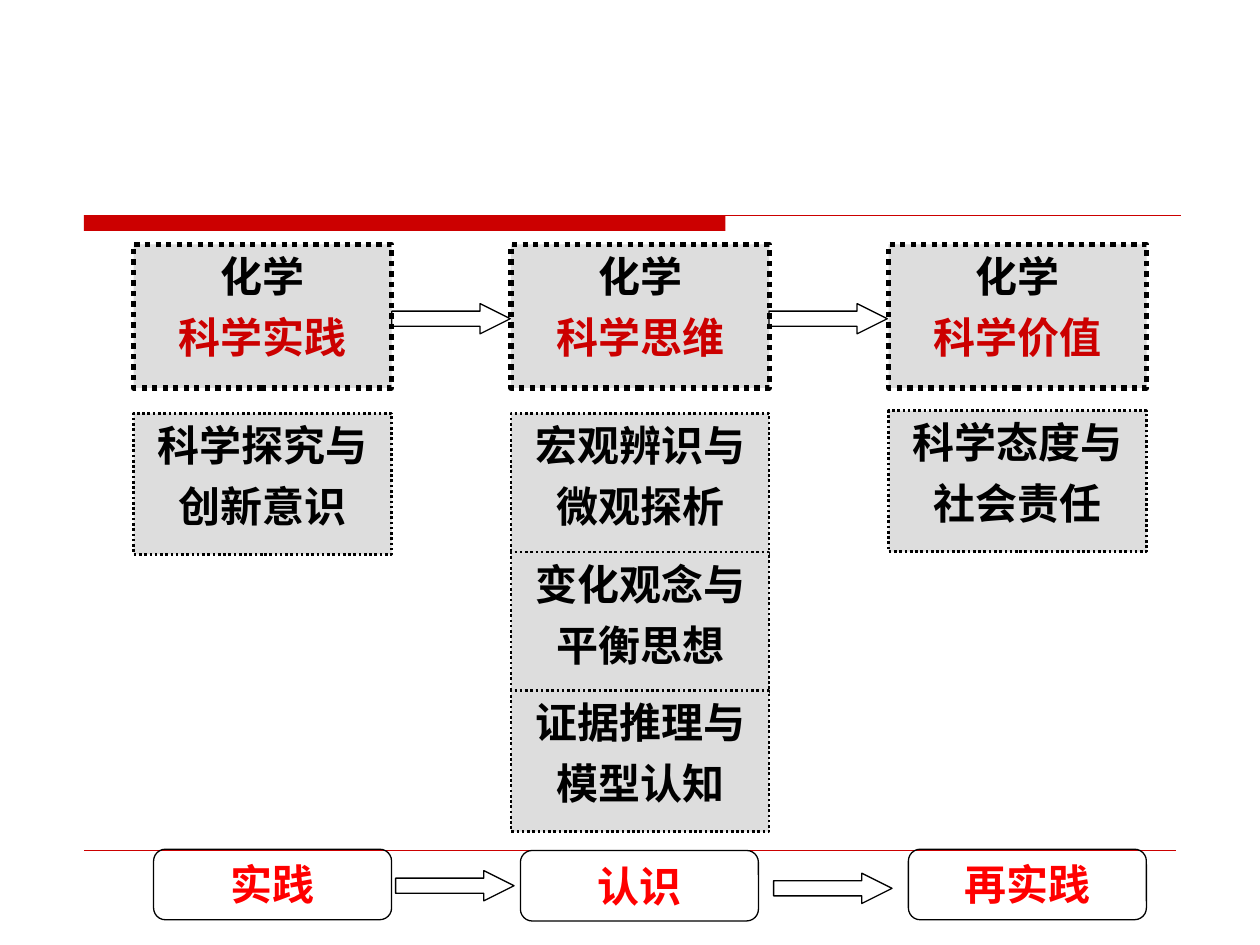
from pptx import Presentation
from pptx.dml.color import RGBColor
from pptx.enum.dml import MSO_LINE_DASH_STYLE as Dash
from pptx.enum.shapes import MSO_CONNECTOR as Connector, MSO_SHAPE as Shape
from pptx.enum.text import MSO_ANCHOR as Anchor, PP_ALIGN as Align
from pptx.util import Pt
from lxml.etree import SubElement

BLACK, RED, BRIGHT_RED, GREY = "000000", "CC0000", "FF0000", "DDDDDD"
DRAWING = "{http://schemas.openxmlformats.org/drawingml/2006/main}"

COLUMN_LEFT, COLUMN_STEP, BOX_WIDTH = 76.3, 215.75, 147.5
CONTENT_HEIGHT, CONTENT_STEP = 80.6, 79.2

# Each column: heading, top of its content boxes, content boxes
COLUMNS = [
    ("科学实践", 236.2, [("科学探究与", "创新意识")]),
    ("科学思维", 236.2, [("宏观辨识与", "微观探析"),
                     ("变化观念与", "平衡思想"),
                     ("证据推理与", "模型认知")]),
    ("科学价值", 234.7, [("科学态度与", "社会责任")]),
]
STAGES = [("实践", 87.8, 485.3), ("认识", 297.4, 486), ("再实践", 519.1, 485.3)]
ARROWS = [(223.9, 173.5), (439.4, 173.5), (226.1, 497.5), (442.1, 499)]


def color(value):
    return RGBColor.from_string(value)


def add_outline(page, kind, place, fill=None, weight=0.75, dash=None):
    shape = page.shapes.add_shape(kind, *map(Pt, place))
    shape.shadow.inherit = False
    if fill:
        shape.fill.solid()
        shape.fill.fore_color.rgb = color(fill)
    else:
        shape.fill.background()
    shape.line.color.rgb = color(BLACK)
    shape.line.width = Pt(weight)
    if dash:
        shape.line.dash_style = dash
    return shape


def write_lines(shape, lines, font="DejaVu Sans"):
    """Write (text, colour) pairs, one paragraph each."""
    frame = shape.text_frame
    layout = {"word_wrap": True, "vertical_anchor": Anchor.TOP,
              "margin_left": Pt(4.5), "margin_right": Pt(4.5),
              "margin_top": Pt(3.6), "margin_bottom": Pt(3.6)}
    for name, value in layout.items():
        setattr(frame, name, value)
    for index, (text, text_color) in enumerate(lines):
        para = frame.add_paragraph() if index else frame.paragraphs[0]
        para.alignment = Align.CENTER
        para.space_before = Pt(6 if index else 0)
        span = para.add_run()
        span.text = text
        for name, value in {"name": font, "size": Pt(24), "bold": True}.items():
            setattr(span.font, name, value)
        span.font.color.rgb = color(text_color)


def add_rule(page, left, right, top, weight):
    rule = page.shapes.add_connector(
        Connector.STRAIGHT, Pt(left), Pt(top), Pt(right), Pt(top))
    rule.line.color.rgb = color(RED)
    rule.line.width = Pt(weight)
    SubElement(rule._element.spPr, DRAWING + "effectLst")


def add_header_bar(page):
    bar = add_outline(page, Shape.RECTANGLE, (48, 123, 366.5, 9), RED)
    bar.line.fill.background()
    add_rule(page, 48, 674.6, 123, 0.75)


def add_column(page, left, heading, content_top, contents):
    box = add_outline(page, Shape.RECTANGLE, (left, 139.7, BOX_WIDTH, 82),
                      GREY, 3, Dash.ROUND_DOT)
    write_lines(box, [("化学", BLACK), (heading, RED)])
    for row, lines in enumerate(contents):
        place = (left, content_top + row * CONTENT_STEP, BOX_WIDTH, CONTENT_HEIGHT)
        box = add_outline(page, Shape.RECTANGLE, place, GREY, 1.5, Dash.ROUND_DOT)
        write_lines(box, [(line, BLACK) for line in lines])


def add_stage(page, text, left, top):
    box = add_outline(page, Shape.ROUNDED_RECTANGLE, (left, top, 136, 40.3))
    write_lines(box, [(text, BRIGHT_RED)], "Noto Sans CJK SC")


def add_arrow(page, left, top):
    arrow = add_outline(page, Shape.RIGHT_ARROW, (left, top, 67.7, 17.3))
    arrow.adjustments[1] = 1


def main():
    deck = Presentation()
    deck.slide_width, deck.slide_height = Pt(720), Pt(540)
    page = deck.slides.add_slide(deck.slide_layouts[6])

    # Header bar and footer rule
    add_header_bar(page)
    add_rule(page, 48, 672, 486, 0.25)

    # Columns of competences
    for index, column in enumerate(COLUMNS):
        add_column(page, COLUMN_LEFT + index * COLUMN_STEP, *column)

    # Stages along the bottom, and arrows in both rows
    for stage in STAGES:
        add_stage(page, *stage)
    for arrow in ARROWS:
        add_arrow(page, *arrow)

    deck.save("out.pptx")


if __name__ == "__main__":
    main()
